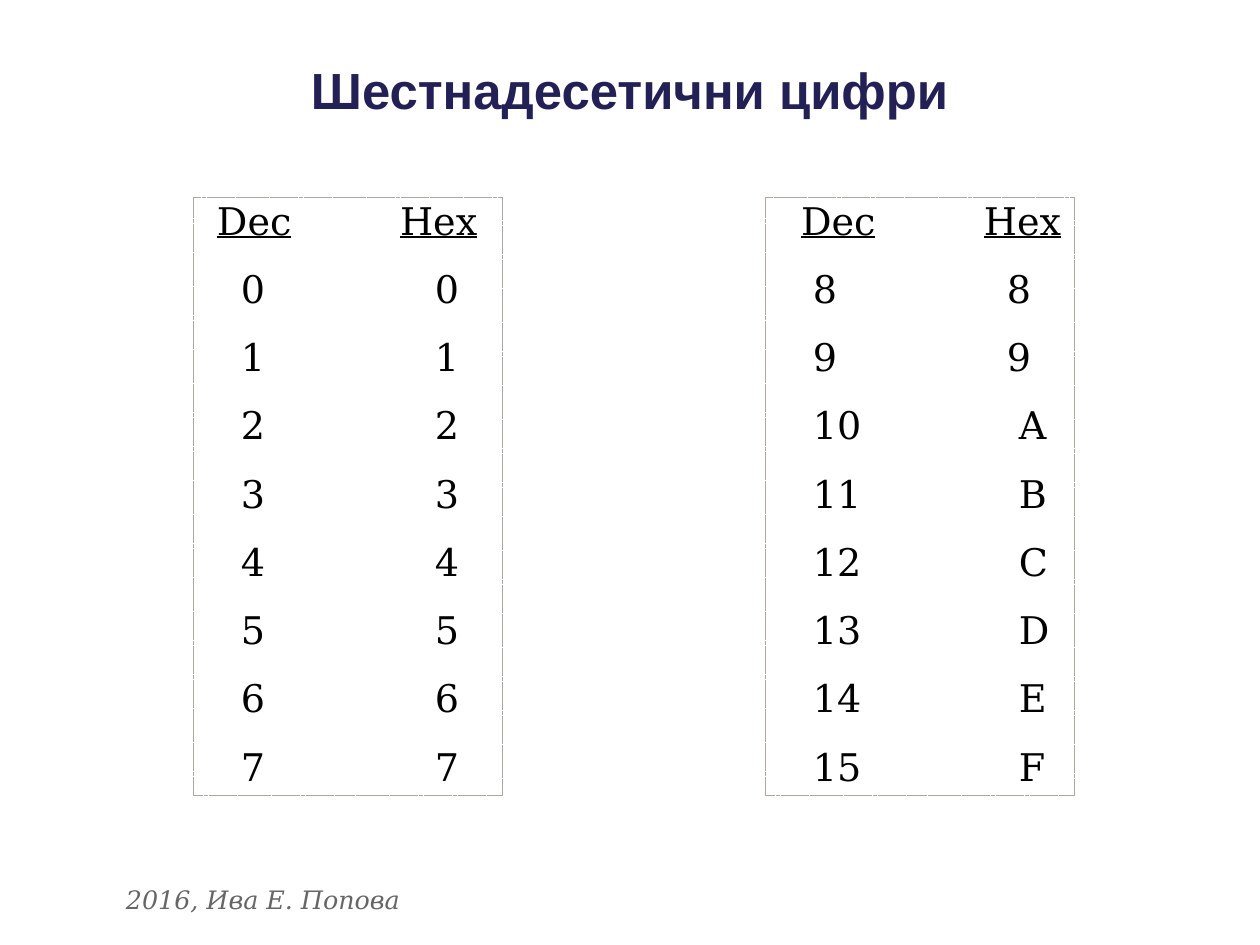
from lxml import etree
from pptx import Presentation
from pptx.dml.color import RGBColor
from pptx.enum.dml import MSO_LINE
from pptx.enum.text import MSO_ANCHOR, MSO_AUTO_SIZE, PP_ALIGN
from pptx.oxml.ns import qn
from pptx.util import Pt

PX = 8000
NAVY = RGBColor(0x23, 0x20, 0x56)
BLACK = RGBColor(0, 0, 0)
GREY = RGBColor(0x66, 0x66, 0x66)
FRAME = RGBColor(0xAE, 0xA7, 0x9F)
CENTER = PP_ALIGN.CENTER
MIDDLE = MSO_ANCHOR.MIDDLE
TOP = MSO_ANCHOR.TOP
NO_FIT = MSO_AUTO_SIZE.NONE
SHORT_DASH = MSO_LINE.SQUARE_DOT
TWO_CONTENT = 3
SANS = "Arial"
SERIF = "DejaVu Serif"


class Page:
    """Style and current slide, with one method per kind of element."""

    def __init__(self, deck):
        self.clear_hanging_indent(deck.slide_master)
        self.slide = deck.slides.add_slide(deck.slide_layouts[TWO_CONTENT])

    def clear_hanging_indent(self, master):
        for body_style in master.element.iter(qn("p:bodyStyle")):
            level = body_style.find(qn("a:lvl1pPr"))
            level.set("marL", "0")
            level.attrib.pop("indent", None)

    def place(self, box, left, top, width, height, anchor):
        box.left, box.top = left * PX, top * PX
        box.width, box.height = width * PX, height * PX
        frame = box.text_frame
        frame.auto_size = NO_FIT
        frame.word_wrap = True
        frame.vertical_anchor = anchor
        frame.margin_left = frame.margin_right = 0
        frame.margin_top = frame.margin_bottom = 0
        return frame

    def style(self, span, font, size, color):
        span.font.name = font
        span.font.size = Pt(size)
        span.font.color.rgb = color

    def title(self, text, *area):
        frame = self.place(self.slide.shapes.title, *area, MIDDLE)
        frame.text = text
        para = frame.paragraphs[0]
        para.alignment = CENTER
        self.style(para.runs[0], SANS, 32, NAVY)
        para.runs[0].font.bold = True

    def footer(self, text, *area):
        box = self.slide.shapes.add_textbox(0, 0, PX, PX)
        frame = self.place(box, *area, TOP)
        frame.text = text
        span = frame.paragraphs[0].runs[0]
        self.style(span, SERIF, 16, GREY)
        span.font.italic = True

    def tab_stops(self, para, stops):
        props = para._p.get_or_add_pPr()
        props.set("marL", "0")
        etree.SubElement(props, qn("a:buNone"))
        tabs = etree.SubElement(props, qn("a:tabLst"))
        for stop in filter(None, stops):
            etree.SubElement(tabs, qn("a:tab"), pos=str(stop * PX), algn="l")

    def digits(self, index, rows, *area):
        box = self.slide.placeholders[index]
        frame = self.place(box, *area, TOP)
        frame.margin_left = 23 * PX
        box.line.color.rgb = FRAME
        box.line.width = 0
        box.line.dash_style = SHORT_DASH
        for number, (words, stops) in enumerate(rows):
            para = frame.add_paragraph() if number else frame.paragraphs[0]
            para.space_before = Pt(14.2)
            self.tab_stops(para, stops)
            for word, stop in zip(words, stops):
                for text in ("\t", word) if stop else (word,):
                    span = para.add_run()
                    span.text = text
                    self.style(span, SERIF, 24, BLACK)
                    span.font.underline = number == 0 and text == word


def digit_rows(values, header_stops):
    rows = [(("Dec", "Hex"), header_stops)]
    for value in values:
        rows.append(((str(value), f"{value:X}"), (24, 218 if value < 10 else 230)))
    return rows


def main():
    deck = Presentation()
    deck.slide_width, deck.slide_height = 1260 * PX, 945 * PX
    page = Page(deck)
    page.title("Шестнадесетични цифри", 63, 42, 1134, 95)
    page.digits(1, digit_rows(range(8), (0, 183)), 194, 197, 309, 599)
    page.digits(2, digit_rows(range(8, 16), (12, 195)), 766, 197, 309, 599)
    page.footer("2016, Ива Е. Попова", 126, 884, 309, 30)
    deck.save("out.pptx")


if __name__ == "__main__":
    main()
